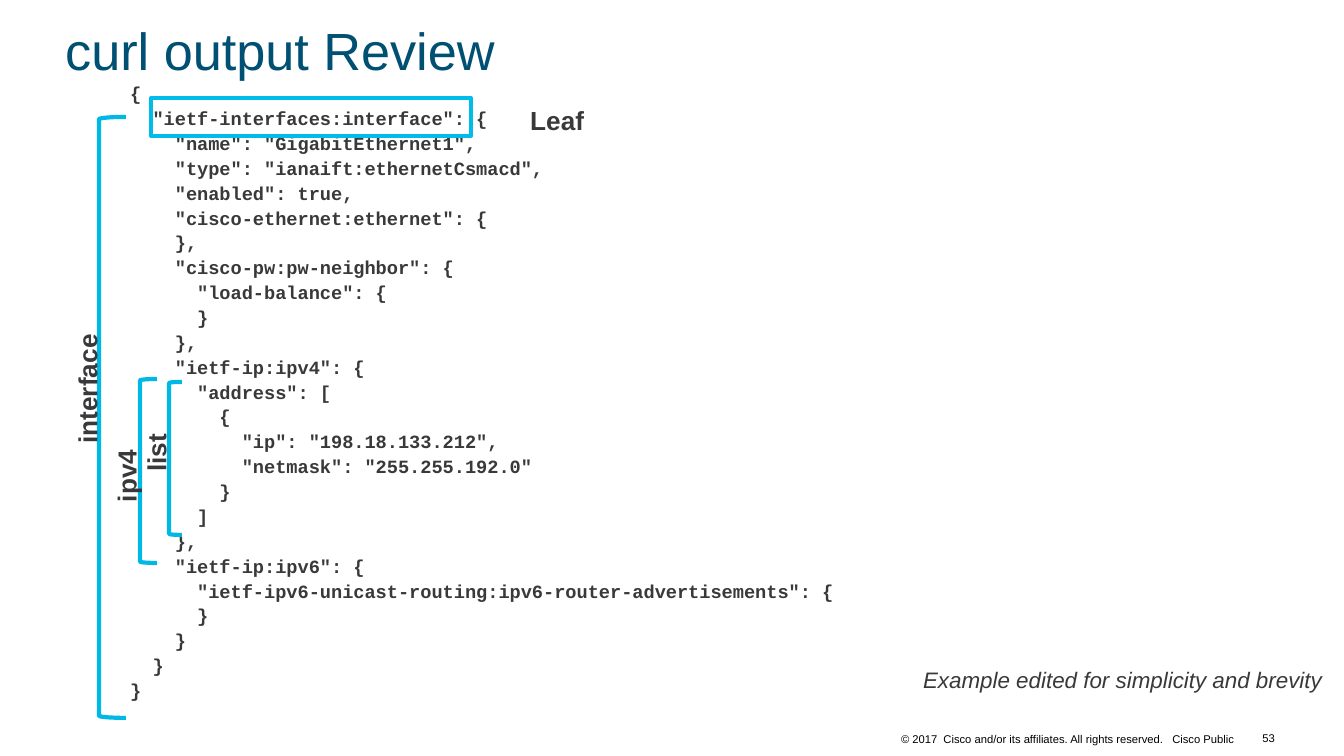
"""Build the curl output review slide with its annotated JSON listing."""
import pptx
import pptx.util
import pptx.dml.color
import pptx.enum.shapes
import pptx.enum.text

SHAPE = pptx.enum.shapes.MSO_SHAPE
ANCHOR = pptx.enum.text.MSO_ANCHOR
ALIGN = pptx.enum.text.PP_ALIGN
RGB = pptx.dml.color.RGBColor.from_string
Pt = pptx.util.Pt

TITLE = "curl output Review"
CODE = """{
  "ietf-interfaces:interface": {
    "name": "GigabitEthernet1",
    "type": "ianaift:ethernetCsmacd",
    "enabled": true,
    "cisco-ethernet:ethernet": {
    },
    "cisco-pw:pw-neighbor": {
      "load-balance": {
      }
    },
    "ietf-ip:ipv4": {
      "address": [
        {
          "ip": "198.18.133.212",
          "netmask": "255.255.192.0"
        }
      ]
    },
    "ietf-ip:ipv6": {
      "ietf-ipv6-unicast-routing:ipv6-router-advertisements": {
      }
    }
  }
}"""
NOTE = "Example edited for simplicity and brevity"
COPYRIGHT = "© 2017  Cisco and/or its affiliates. All rights reserved.   Cisco Public"
PAGE = "53"

MARKS = [
    ("Leaf", SHAPE.RECTANGLE, (151, 98, 320, 38), (517, 98, 301, 46), "box"),
    ("interface", SHAPE.LEFT_BRACKET, (99, 117, 27, 601), (-110, 366, 395, 46), "bracket"),
    ("ipv4", SHAPE.LEFT_BRACKET, (140, 379, 17, 184), (35, 453, 184, 46), "bracket"),
    ("list", SHAPE.LEFT_BRACKET, (169, 382, 13, 153), (105, 430, 103, 46), "bracket"),
]

THEME = {
    "title": {"name": "Arial", "size": 28, "color": "005073"},
    "code": {"name": "Courier New", "size": 10, "color": "39393B", "bold": True},
    "label": {"name": "Arial", "size": 14, "color": "39393B", "bold": True},
    "note": {"name": "Arial", "size": 12, "color": "39393B", "italic": True},
    "footer": {"name": "Arial", "size": 6, "color": "000000"},
    "box": {"color": "00BCEB", "width": 2},
    "bracket": {"color": "00B8E6", "width": 2.25},
}


def px(n):
    return round(n * 914400 / 134.4)


def set_font(font, style):
    for key, value in style.items():
        if key == "color":
            font.color.rgb = RGB(value)
        else:
            setattr(font, key, Pt(value) if key == "size" else value)


def add_text(shapes, text, box, style, align=ALIGN.LEFT, spacing=None, frame=None):
    sp = shapes.add_textbox(*map(px, box))
    tf = sp.text_frame
    for key, value in {"word_wrap": True, **(frame or {})}.items():
        setattr(tf, key, value)
    for i, line in enumerate(text.split("\n")):
        p = tf.add_paragraph() if i else tf.paragraphs[0]
        p.alignment = align
        p.line_spacing = spacing
        if i:
            p.space_before = Pt(2.5)
        r = p.add_run()
        r.text = line
        set_font(r.font, THEME[style])
    return sp


def add_mark(shapes, label, kind, outline, label_box, style):
    group = shapes.add_group_shape()
    sp = group.shapes.add_shape(kind, *map(px, outline))
    sp.shadow.inherit = False
    sp.fill.background()
    sp.line.color.rgb = RGB(THEME[style]["color"])
    sp.line.width = Pt(THEME[style]["width"])
    turned = kind == SHAPE.LEFT_BRACKET
    align = ALIGN.CENTER if turned else ALIGN.LEFT
    tag = add_text(group.shapes, label, label_box, "label", align)
    tag.rotation = 270 if turned else 0


def main():
    prs = pptx.Presentation()
    prs.slide_width, prs.slide_height = px(1344), px(756)
    s = prs.slides.add_slide(prs.slide_layouts[6])
    tight = {"vertical_anchor": ANCHOR.BOTTOM, "margin_left": px(9), "margin_right": px(9),
             "margin_top": px(4), "margin_bottom": px(4)}
    add_text(s.shapes, COPYRIGHT, (880, 727, 363, 23), "footer", ALIGN.RIGHT, frame=tight)
    add_text(s.shapes, TITLE, (52, 23, 1251, 65), "title", spacing=0.9,
             frame={"vertical_anchor": ANCHOR.BOTTOM})
    add_text(s.shapes, CODE, (117, 78, 1227, 519), "code", spacing=0.9)
    add_text(s.shapes, NOTE, (906, 660, 430, 40), "note", ALIGN.RIGHT,
             frame={"word_wrap": False})
    for mark in MARKS:
        add_mark(s.shapes, *mark)
    add_text(s.shapes, PAGE, (1236, 718, 52, 40), "footer", ALIGN.RIGHT,
             frame={"vertical_anchor": ANCHOR.MIDDLE})
    prs.save("out.pptx")


if __name__ == "__main__":
    main()
